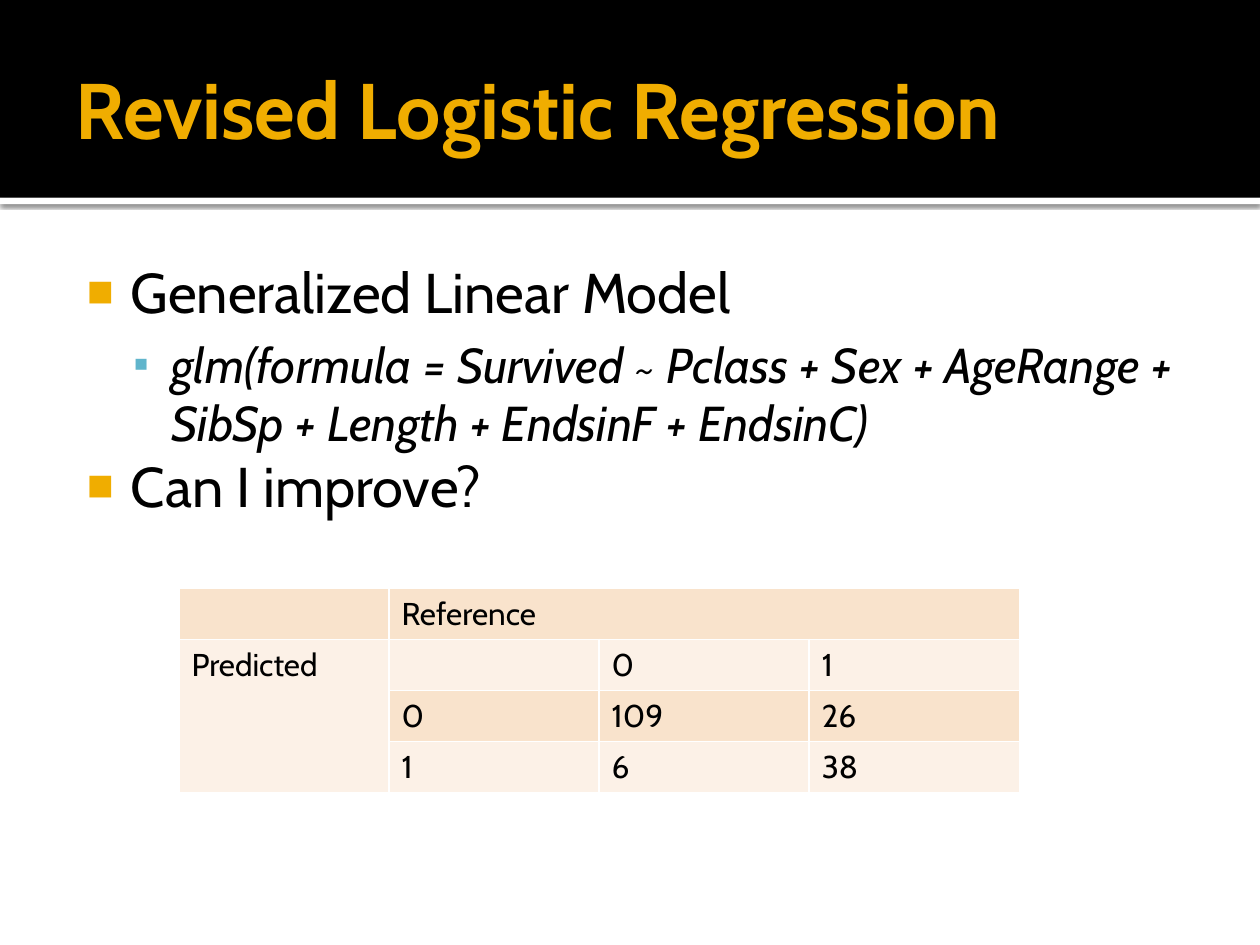
from dataclasses import dataclass

from lxml.etree import SubElement
from pptx import Presentation
from pptx.dml.color import RGBColor
from pptx.enum.shapes import MSO_SHAPE
from pptx.enum.text import MSO_ANCHOR
from pptx.oxml import parse_xml
from pptx.oxml.ns import nsdecls, qn
from pptx.util import Inches, Pt


@dataclass(frozen=True)
class Theme:
    font: str = "Cabin"
    black: str = "000000"
    white: str = "FFFFFF"
    gold: str = "F0AD00"
    blue: str = "60B5CC"
    dark_band: str = "F9E3CC"
    light_band: str = "FCF1E7"
    title_size: int = 45
    body_size: int = 32
    formula_size: int = 28
    table_size: int = 18


theme = Theme()


def style_text(paragraph, size, color=theme.black, bold=False, italic=False):
    font = paragraph.font
    font.name, font.size = theme.font, Pt(size)
    font.bold, font.italic = bold, italic
    font.color.rgb = RGBColor.from_string(color)


def add_text_frame(left, top, width, height, insets):
    """Add a wrapping text box; insets run left, top, right, bottom."""
    box = slide.shapes.add_textbox(Inches(left), Inches(top), Inches(width), Inches(height))
    frame = box.text_frame
    frame.word_wrap = True
    frame.margin_left, frame.margin_top, frame.margin_right, frame.margin_bottom = map(Inches, insets)
    return frame


presentation = Presentation()
presentation.slide_width, presentation.slide_height = Inches(10), Inches(7.5)
slide = presentation.slides.add_slide(presentation.slide_layouts[6])

# Header band with a white, shadowed strip below it
for top, height, color in ((1.57, 0.05, theme.white), (0, 1.57, theme.black)):
    band = slide.shapes.add_shape(MSO_SHAPE.RECTANGLE, 0, Inches(top), Inches(10), Inches(height))
    band.shadow.inherit = False
    band.fill.solid()
    band.fill.fore_color.rgb = RGBColor.from_string(color)
    band.line.fill.background()
    if color == theme.white:
        effects = band._element.spPr.find(qn("a:effectLst"))
        effects.append(parse_xml(
            f'<a:outerShdw {nsdecls("a")} blurRad="{Pt(2.5)}" dist="{Pt(0.8)}" dir="5400000">'
            f'<a:srgbClr val="{theme.black}"><a:alpha val="60000"/></a:srgbClr></a:outerShdw>'))

title = add_text_frame(0.5, 0.17, 9, 1.37, (0.1, 0.05, 0.05, 0.05))
title.vertical_anchor = MSO_ANCHOR.MIDDLE
title.text = "Revised Logistic Regression"
style_text(title.paragraphs[0], theme.title_size, theme.gold, bold=True)

# Bullets: text, level
bullets = (
    ("Generalized Linear Model", 0),
    ("glm(formula = Survived ~ Pclass + Sex + AgeRange + SibSp + Length + EndsinF + EndsinC)", 1),
    ("Can I improve?", 0),
)
# Per level: text size, margin, indent, bullet, bullet color, bullet percent, space before percent
levels = (
    (theme.body_size, 0.48, -0.35, "■", theme.gold, 80, 0),
    (theme.formula_size, 0.8, -0.3, "▪", theme.blue, 90, 20),
)
body = add_text_frame(0.5, 1.94, 9, 5.06, (0.06, 0.1, 0.1, 0.05))
for index, (text, level) in enumerate(bullets):
    size, margin, indent, bullet, color, percent, space = levels[level]
    paragraph = body.add_paragraph() if index else body.paragraphs[0]
    paragraph.text = text
    paragraph.level = level
    properties = paragraph._p.get_or_add_pPr()
    properties.set("marL", str(Inches(margin)))
    properties.set("indent", str(Inches(indent)))
    before = SubElement(properties, qn("a:spcBef"))
    SubElement(before, qn("a:spcPct")).set("val", str(space * 1000))
    bullet_color = SubElement(properties, qn("a:buClr"))
    SubElement(bullet_color, qn("a:srgbClr")).set("val", color)
    SubElement(properties, qn("a:buSzPct")).set("val", str(percent * 1000))
    SubElement(properties, qn("a:buFont")).set("typeface", "Arial")
    SubElement(properties, qn("a:buChar")).set("char", bullet)
    style_text(paragraph, size, italic=level == 1)

# Confusion matrix
rows = (
    ("", "Reference", "", ""),
    ("Predicted", "", "0", "1"),
    ("", "0", "109", "26"),
    ("", "1", "6", "38"),
)
table = slide.shapes.add_table(4, 4, Inches(1.42), Inches(4.67), Inches(6.67), Inches(1.62)).table
table.first_row = table.horz_banding = False
for row_index, row in enumerate(rows):
    for column_index, text in enumerate(row):
        cell = table.cell(row_index, column_index)
        cell.text = text
        style_text(cell.text_frame.paragraphs[0], theme.table_size)
        properties = cell._tc.get_or_add_tcPr()
        for side in ("lnL", "lnR", "lnT", "lnB"):
            border = SubElement(properties, qn(f"a:{side}"), w=str(Pt(1)))
            border_fill = SubElement(border, qn("a:solidFill"))
            SubElement(border_fill, qn("a:srgbClr")).set("val", theme.white)
        cell.fill.solid()
        band_color = theme.light_band if row_index % 2 else theme.dark_band
        cell.fill.fore_color.rgb = RGBColor.from_string(band_color)
table.cell(0, 1).merge(table.cell(0, 3))
table.cell(1, 0).merge(table.cell(3, 0))

presentation.save("out.pptx")
